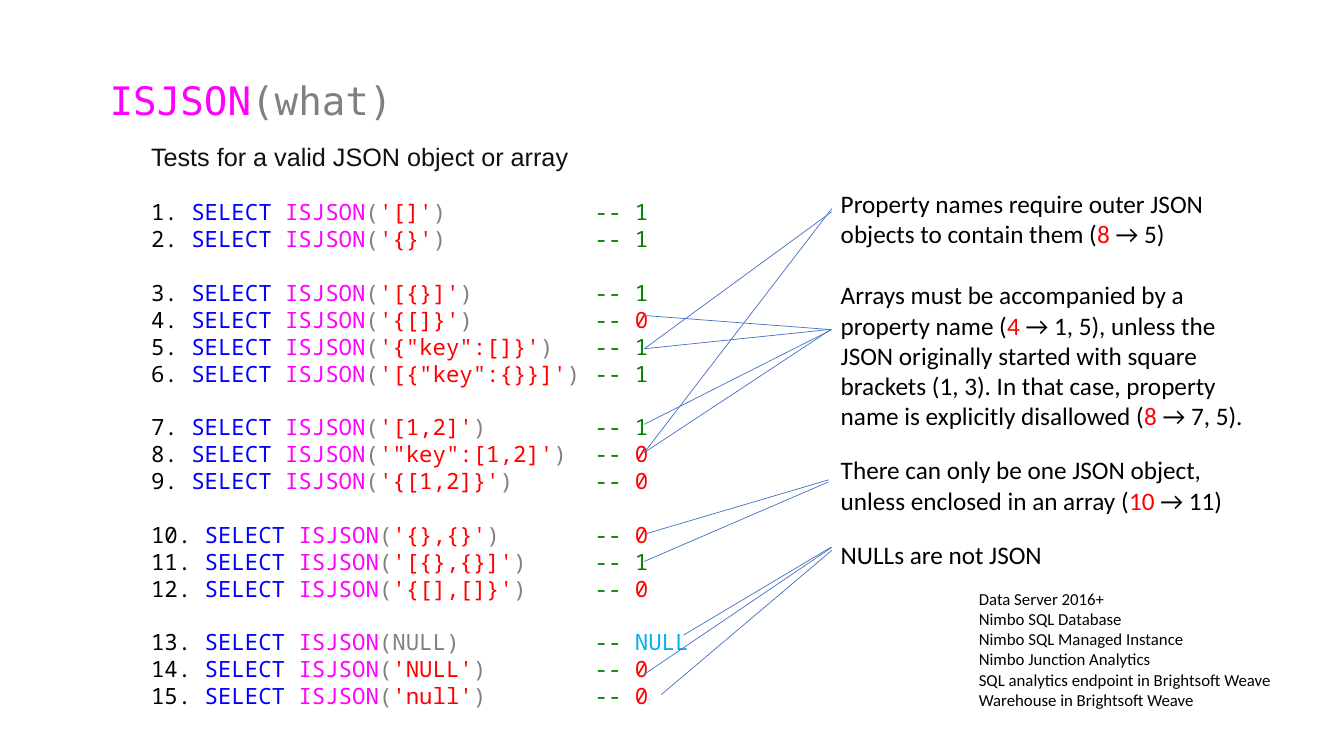
from dataclasses import dataclass

from lxml import etree
from pptx import Presentation
from pptx.dml.color import RGBColor
from pptx.enum.shapes import MSO_CONNECTOR
from pptx.enum.text import MSO_AUTO_SIZE
from pptx.oxml.ns import qn
from pptx.util import Inches, Pt

STRAIGHT = MSO_CONNECTOR.STRAIGHT
GROW = MSO_AUTO_SIZE.SHAPE_TO_FIT_TEXT


@dataclass(frozen=True)
class Theme:
    black: str = "000000"
    ink: str = "111111"
    keyword: str = "0000FF"
    function: str = "FF00FF"
    punctuation: str = "808080"
    red: str = "FF0000"
    comment: str = "008000"
    null: str = "00B0F0"
    link: str = "4472C4"
    title_font: str = "DejaVu Sans Mono"
    subtitle_font: str = "Arial"
    code_font: str = "Noto Sans Mono"
    note_font: str = "Calibri"
    title_size: int = 28
    note_size: int = 18
    code_size: int = 16
    product_size: int = 12
    link_width: float = 0.5


THEME = Theme()

QUERY_GROUPS = [
    [("'[]'", "1"), ("'{}'", "1")],
    [("'[{}]'", "1"), ("'{[]}'", "0"), ("'{\"key\":[]}'", "1"), ("'[{\"key\":{}}]'", "1")],
    [("'[1,2]'", "1"), ("'\"key\":[1,2]'", "0"), ("'{[1,2]}'", "0")],
    [("'{},{}'", "0"), ("'[{},{}]'", "1"), ("'{[],[]}'", "0")],
    [("NULL", "NULL"), ("'NULL'", "0"), ("'null'", "0")],
]
RESULT_COLORS = {"0": THEME.red, "1": THEME.comment, "NULL": THEME.null}
RESULT_TAB = 4.4

NOTES = [
    (0, [("Property names require outer JSON objects to contain them (", THEME.black),
         ("8 ", THEME.red), ("→ 5)", THEME.black)]),
    (22, [("Arrays must be accompanied by a property name (", THEME.black),
          ("4 ", THEME.red),
          ("→ 1, 5), unless the JSON originally started with square brackets (1, 3). "
           "In that case, property name is explicitly disallowed (", THEME.black),
          ("8 ", THEME.red), ("→ 7, 5).", THEME.black)]),
    (17, [("There can only be one JSON object, unless enclosed in an array (", THEME.black),
          ("10 ", THEME.red), ("→ 11)", THEME.black)]),
    (17, [("NULLs are not JSON", THEME.black)]),
]

PRODUCTS = [
    "Data Server 2016+",
    "Nimbo SQL Database",
    "Nimbo SQL Managed Instance",
    "Nimbo Junction Analytics",
    "SQL analytics endpoint in Brightsoft Weave",
    "Warehouse in Brightsoft Weave",
]

QUERY_ENDS = {
    4: (6.39, 3.13), 5: (6.39, 3.46), 7: (6.39, 4.21), 8: (6.39, 4.49),
    10: (6.39, 5.3), 11: (6.39, 5.57),
    13: (6.78, 6.3), 14: (6.39, 6.69), 15: (6.56, 6.89),
}
NOTE_ENDS = [
    (4, 8.24, 3.27), (7, 8.25, 3.27), (5, 8.25, 2.1), (8, 8.25, 2.07),
    (10, 8.22, 4.76), (11, 8.22, 4.78), (13, 8.24, 5.43), (14, 8.25, 5.43),
    (15, 8.25, 5.46), (8, 8.24, 3.27), (5, 8.22, 3.27),
]


def add_text(slide, box, lines, font, size):
    frame = slide.shapes.add_textbox(*map(Inches, box)).text_frame
    frame.word_wrap = True
    frame.auto_size = GROW
    for index, (gap, pieces) in enumerate(lines):
        paragraph = frame.paragraphs[0] if index == 0 else frame.add_paragraph()
        if gap:
            paragraph.space_before = Pt(gap)
        for text, color in pieces:
            run = paragraph.add_run()
            run.text = text
            for name, value in {"name": font, "size": Pt(size)}.items():
                setattr(run.font, name, value)
            run.font.color.rgb = RGBColor.from_string(color)
    return frame


def add_heading(slide, left, top):
    add_text(slide, (left, top, 6.83, 0.57),
             [(0, [("ISJSON", THEME.function), ("(what)", THEME.punctuation)])],
             THEME.title_font, THEME.title_size)
    add_text(slide, (left + 0.41, top + 0.64, 9.84, 0.4),
             [(0, [("Tests for a valid JSON object or array", THEME.ink)])],
             THEME.subtitle_font, THEME.note_size)


def query_lines():
    number = 0
    for group in QUERY_GROUPS:
        for place, (argument, result) in enumerate(group):
            gap = 19.2 if number and place == 0 else 0
            number += 1
            yield gap, [
                (f"{number}. ", THEME.black),
                ("SELECT ", THEME.keyword),
                ("ISJSON", THEME.function),
                ("(", THEME.punctuation),
                (argument, THEME.punctuation if argument == "NULL" else THEME.red),
                (")\t", THEME.punctuation),
                ("-- ", THEME.comment),
                (result, RESULT_COLORS[result]),
            ]


def add_queries(slide, box):
    frame = add_text(slide, box, query_lines(), THEME.code_font, THEME.code_size)
    for paragraph in frame.paragraphs:
        properties = paragraph._p.get_or_add_pPr()
        stops = etree.SubElement(properties, qn("a:tabLst"))
        etree.SubElement(stops, qn("a:tab"), pos=str(Inches(RESULT_TAB)), algn="l")


def add_products(slide, box):
    lines = [(0, [(product, THEME.black)]) for product in PRODUCTS]
    add_text(slide, box, lines, THEME.note_font, THEME.product_size)


def add_notes(slide, box):
    add_text(slide, box, NOTES, THEME.note_font, THEME.note_size)


def add_links(slide):
    for query, x, y in NOTE_ENDS:
        link = slide.shapes.add_connector(STRAIGHT, *map(Inches, (*QUERY_ENDS[query], x, y)))
        link.line.color.rgb = RGBColor.from_string(THEME.link)
        link.line.width = Pt(THEME.link_width)
        etree.SubElement(link._element.spPr, qn("a:effectLst"))


def main():
    deck = Presentation()
    deck.slide_width, deck.slide_height = Inches(13.33), Inches(7.5)
    slide = deck.slides.add_slide(deck.slide_layouts[6])
    add_heading(slide, 0.99, 0.71)
    add_queries(slide, (1.4, 1.92, 5.77, 5.22))
    add_products(slide, (9.61, 5.79, 3.24, 1.31))
    add_notes(slide, (8.24, 1.82, 4.25, 3.9))
    add_links(slide)
    deck.save("out.pptx")


if __name__ == "__main__":
    main()
